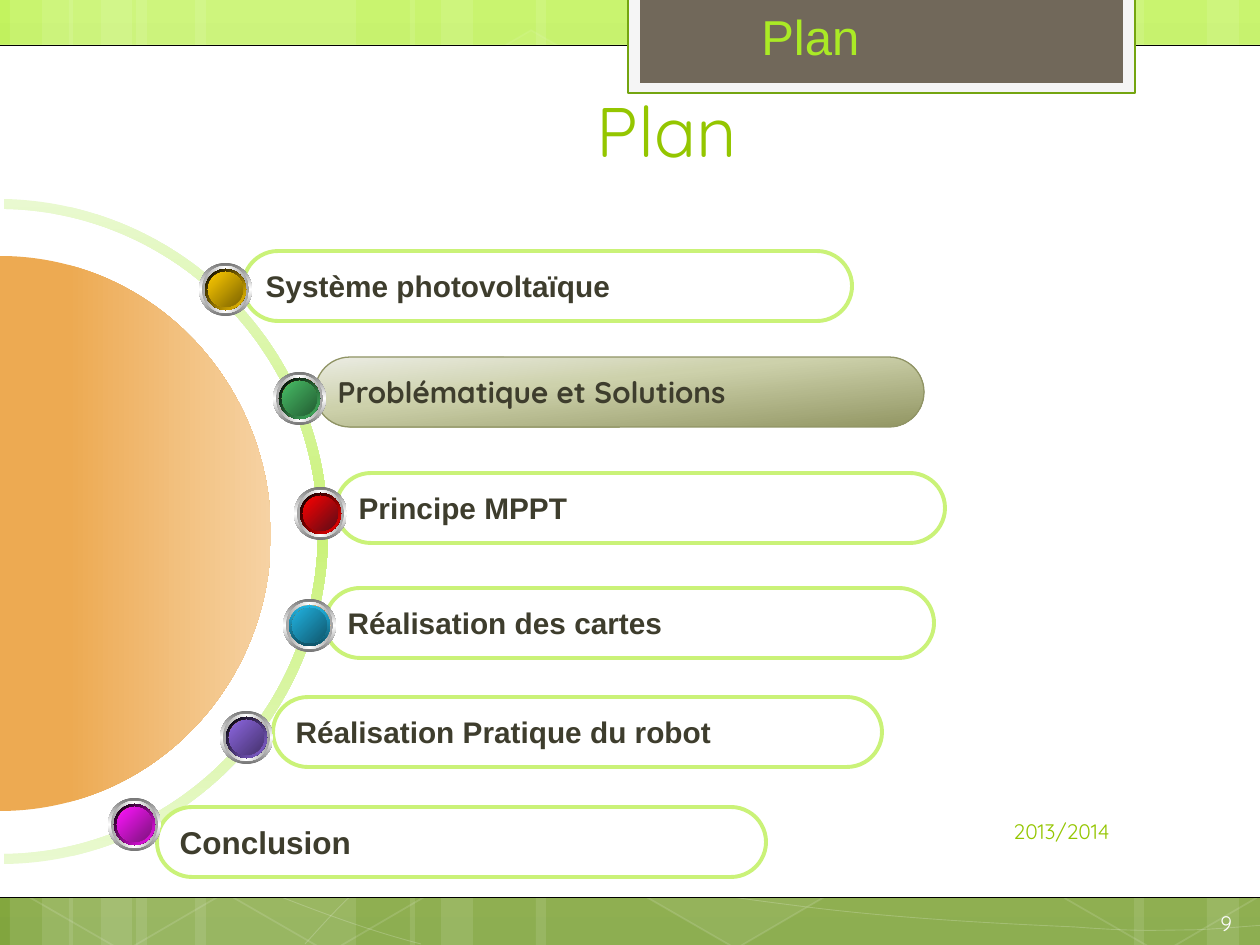
from lxml.etree import SubElement
from pptx import Presentation
from pptx.dml.color import RGBColor
from pptx.enum.shapes import MSO_SHAPE as Shape
from pptx.enum.text import MSO_ANCHOR as Anchor, PP_ALIGN as Align
from pptx.oxml.ns import qn
from pptx.util import Emu, Pt

PX = 914400 / 126
COLORS = {
    "white": "FFFFFF", "black": "000000", "lime": "CAF278", "pale_lime": "E9F9D0",
    "title": "94C600", "tab_text": "AAEA25", "tab": "71685A", "tab_frame": "F5F5F5",
    "tab_edge": "74A510", "label": "3E3D2D", "page": "FEFEFE", "active_edge": "909465",
    "bright": "E68200", "brown": "B06400", "steel": "767676", "silver": "A2A2A2",
    "core": "EDAA52", "core_edge": "F6D2A3",
}
BACKDROP = [(0, "C3F35F"), (62, "93BF3F"), (100, "81A53E")]
ACTIVE = [(0, "EBECE3"), (40, "CDD1AB"), (100, "929663")]
ACTIVE_TOPIC = "Problématique et Solutions"
PILL_SIZE = (609, 70)
# label, font, size, pill corner, ball corner, ball colour, dark ball colour, own rim
TOPICS = [
    ("Système photovoltaïque", "Arial", 17, (243, 251), (199, 263), "FFCC00", "7C6300"),
    (ACTIVE_TOPIC, "Quicksand", 17, (315, 357), (273, 372), "48BE67", "235C32"),
    ("Principe MPPT", "Arial", 17, (336, 473), (294, 487), "FF0000", "5C0C17"),
    ("Réalisation des cartes", "Arial", 17, (325, 588), (283, 599), "21B3E1", "10576D",
     (["21B3E1", "0F5368"], 90)),
    ("Réalisation Pratique du robot", "Arial", 17, (273, 697), (220, 711), "8D67E1", "45326D"),
    ("Conclusion", "Arial", 18, (157, 807), (108, 798), "FF13FF", "7C137C"),
]
BARS = [(136, 220), (10, 63), (42, 105), (195, 220), (69, 63), (101, 105),
        (924, 220), (1207, 63), (1134, 105), (536, 388), (410, 63), (441, 105)]
# left, top, fill opacity, line opacity
HEXAGONS = [(421, 45, 4, 8), (626, 742, 6, 12), (14, 745, 0, 12),
            (219, 746, 0, 12), (1051, 747, 0, 12)]
# start point, then three points for each cubic segment
CURVES = [
    [(8, 777), (160, 847), (311, 916), (421, 944)],
    [(9, 728), (48, 742), (88, 756), (161, 776), (234, 795), (344, 827), (450, 848),
     (554, 869), (687, 892), (791, 905), (896, 919), (1008, 924), (1075, 927),
     (1140, 932), (1158, 930), (1191, 930), (1223, 929), (1246, 926), (1269, 925)],
    [(305, 944), (328, 919), (350, 893), (381, 871), (411, 848), (454, 823), (489, 805),
     (520, 789), (546, 780), (592, 767), (643, 754), (722, 737), (766, 728),
     (811, 719), (818, 719), (857, 717), (896, 713), (958, 709), (1000, 708),
     (1045, 707), (1116, 708), (1116, 708), (1144, 708), (1173, 708), (1201, 708),
     (1224, 709), (1256, 712), (1268, 713)],
]


def emu(*lengths):
    return [Emu(round(length * PX)) for length in lengths]


def rgb(color):
    return RGBColor.from_string(COLORS.get(color, color))


def fade(parent, percent):
    """Set the opacity of the colour inside a fill or line element."""
    color = next(parent.iter(qn("a:srgbClr")))
    SubElement(color, qn("a:alpha"), val=str(percent * 1000))


def set_gradient(fill, owner, stops, angle):
    fill.gradient()
    stop_list = next(owner.iter(qn("a:gsLst")))
    for old_stop in list(stop_list):
        stop_list.remove(old_stop)
    for position, color in stops:
        stop = SubElement(stop_list, qn("a:gs"), pos=str(position * 1000))
        SubElement(stop, qn("a:srgbClr"), val=COLORS.get(color, color))
    next(owner.iter(qn("a:lin"))).set("ang", str(angle * 60000))


def style(shape, fill=None, opacity=100, line=None, width=1, line_opacity=100):
    shape.shadow.inherit = False
    properties = shape.element.spPr
    if fill:
        shape.fill.solid()
        shape.fill.fore_color.rgb = rgb(fill)
        if opacity < 100:
            fade(properties.find(qn("a:solidFill")), opacity)
    else:
        shape.fill.background()
    if line:
        shape.line.color.rgb = rgb(line)
        shape.line.width = Pt(width)
        if line_opacity < 100:
            fade(properties.find(qn("a:ln")), line_opacity)
    else:
        shape.line.fill.background()
    return shape


def add_preset(shapes, preset, box, **look):
    return style(shapes.add_shape(preset, *emu(*box)), **look)


def triples(points):
    return [points[n:n + 3] for n in range(0, len(points), 3)]


def add_outline(shapes, start, segments, close, **look):
    """Draw segments of one point as lines and of three points as cubic curves."""
    builder = shapes.build_freeform(*start, scale=PX)
    builder.add_line_segments([point for segment in segments for point in segment], close=close)
    outline = builder.convert_to_shape()
    route = next(outline.element.iter(qn("a:path")))
    steps = iter(route.findall(qn("a:lnTo")))
    for segment in segments:
        lines = [next(steps) for _ in segment]
        if len(lines) == 3:
            curve = SubElement(route, qn("a:cubicBezTo"))
            lines[0].addprevious(curve)
            for line in lines:
                curve.append(line[0])
                route.remove(line)
    return style(outline, **look)


def write(shape, text, font, size, color, bold=False, align=Align.LEFT, anchor=Anchor.MIDDLE):
    frame = shape.text_frame
    frame.word_wrap = True
    frame.vertical_anchor = anchor
    frame.text = text
    paragraph = frame.paragraphs[0]
    paragraph.alignment = align
    face = paragraph.runs[0].font
    face.name, face.size, face.bold = font, Pt(size), bold
    face.color.rgb = rgb(color)


def add_text(shapes, box, *content, **layout):
    write(shapes.add_textbox(*emu(*box)), *content, **layout)


def draw_backdrop(slide, width, height):
    set_gradient(slide.background.fill, slide.element, BACKDROP, 90)
    shapes = slide.shapes
    for left, bar_width in BARS:
        add_preset(shapes, Shape.RECTANGLE, (left, 0, bar_width, height),
                   fill="white", opacity=10)
    for start, *points in CURVES:
        add_outline(shapes, start, triples(points), False,
                    line="white", width=0.5, line_opacity=20)
    for left, top, opacity, line_opacity in HEXAGONS:
        hexagon = add_preset(shapes, Shape.HEXAGON, (left, top, 220, 192),
                             fill="white" if opacity else None, opacity=opacity,
                             line="white", line_opacity=line_opacity)
        hexagon.adjustments[0] = 0.285
        hexagon.rotation = 30
    add_preset(shapes, Shape.RECTANGLE, (-10, 45, width + 21, 853),
               fill="white", line="black", width=0.5)


def draw_tab(shapes, left, top, width, height):
    add_preset(shapes, Shape.RECTANGLE, (left, top, width, height),
               fill="tab_frame", line="tab_edge", width=1.25)
    add_preset(shapes, Shape.RECTANGLE, (left + 12, top, width - 24, height - 10), fill="tab")
    add_text(shapes, (left + 121, top + 3, 338, 72), "Plan", "Arial", 28, "tab_text",
             anchor=Anchor.TOP)


def draw_dial(shapes, left, middle):
    def place(*offsets):
        return [(left + x, middle + y) for x, y in offsets]

    start, *outer = place((4, -323), (178, -320), (318, -177), (318, 0),
                          (318, 176), (178, 320), (4, 322))
    corner, *inner = place((4, 332), (183, 330), (328, 181), (328, 0),
                           (328, -182), (183, -329), (4, -333))
    arc = add_outline(shapes, start, triples(outer) + [[corner]] + triples(inner), True,
                      fill="lime")
    set_gradient(arc.fill, arc.element, [(0, "pale_lime"), (50, "lime"), (100, "pale_lime")], 90)
    start, *edge = place((0, -276), (150, -276), (271, -151), (271, 2),
                         (271, 156), (150, 279), (0, 279))
    core = add_outline(shapes, start, triples(edge), True, fill="core")
    set_gradient(core.fill, core.element, [(0, "core"), (25, "core"), (100, "core_edge")], 0)


def draw_ball(shapes, left, top, color, dark, rim=None, size=53):
    layers = [
        (0, ["steel", "white", "steel"], 90), (3, ["silver", "white", "silver"], 0),
        (6, ["white", "bright", "white"], 45), (6, *(rim or (["black", color], 45))),
        (9, ["brown", "bright", "brown"], 315), (9, [color, dark], 45),
    ]
    ball = shapes.add_group_shape().shapes
    for inset, tones, angle in layers:
        side = size - 2 * inset
        disc = add_preset(ball, Shape.OVAL, (left + inset, top + inset, side, side))
        stops = [(100 * n // (len(tones) - 1), tone) for n, tone in enumerate(tones)]
        set_gradient(disc.fill, disc.element, stops, angle)


def draw_topic(shapes, label, font, size, pill_corner, ball_corner, color, dark, rim=None):
    active = label == ACTIVE_TOPIC
    pill = add_preset(shapes, Shape.ROUNDED_RECTANGLE, (*pill_corner, *PILL_SIZE),
                      line="active_edge" if active else "lime", width=0.75 if active else 2.25)
    pill.adjustments[0] = 0.5
    if active:
        set_gradient(pill.fill, pill.element, ACTIVE, 84)
    write(pill, label, font, size, "label", bold=True)
    draw_ball(shapes, *ball_corner, color, dark, rim)


def place_title(slide, *box):
    title = slide.shapes.title
    title.left, title.top, title.width, title.height = emu(*box)
    write(title, "Plan", "Quicksand", 40, "title", align=Align.CENTER, anchor=Anchor.BOTTOM)
    slide.shapes[-1].element.addnext(title.element)


def main():
    deck = Presentation()
    deck.slide_width, deck.slide_height = emu(1260, 945)
    slide = deck.slides.add_slide(deck.slide_layouts[5])
    shapes = slide.shapes
    draw_backdrop(slide, 1260, 945)
    draw_tab(shapes, 628, -3, 507, 96)
    draw_dial(shapes, 0, 532)
    place_title(slide, 73, 111, 1187, 67)
    for topic in TOPICS:
        draw_topic(shapes, *topic)
    add_text(shapes, (640, 806, 482, 50), "2013/2014", "Quicksand", 12, "title", align=Align.RIGHT)
    add_text(shapes, (1208, 901, 52, 44), "9", "Quicksand", 12, "page")
    deck.save("out.pptx")


if __name__ == "__main__":
    main()
